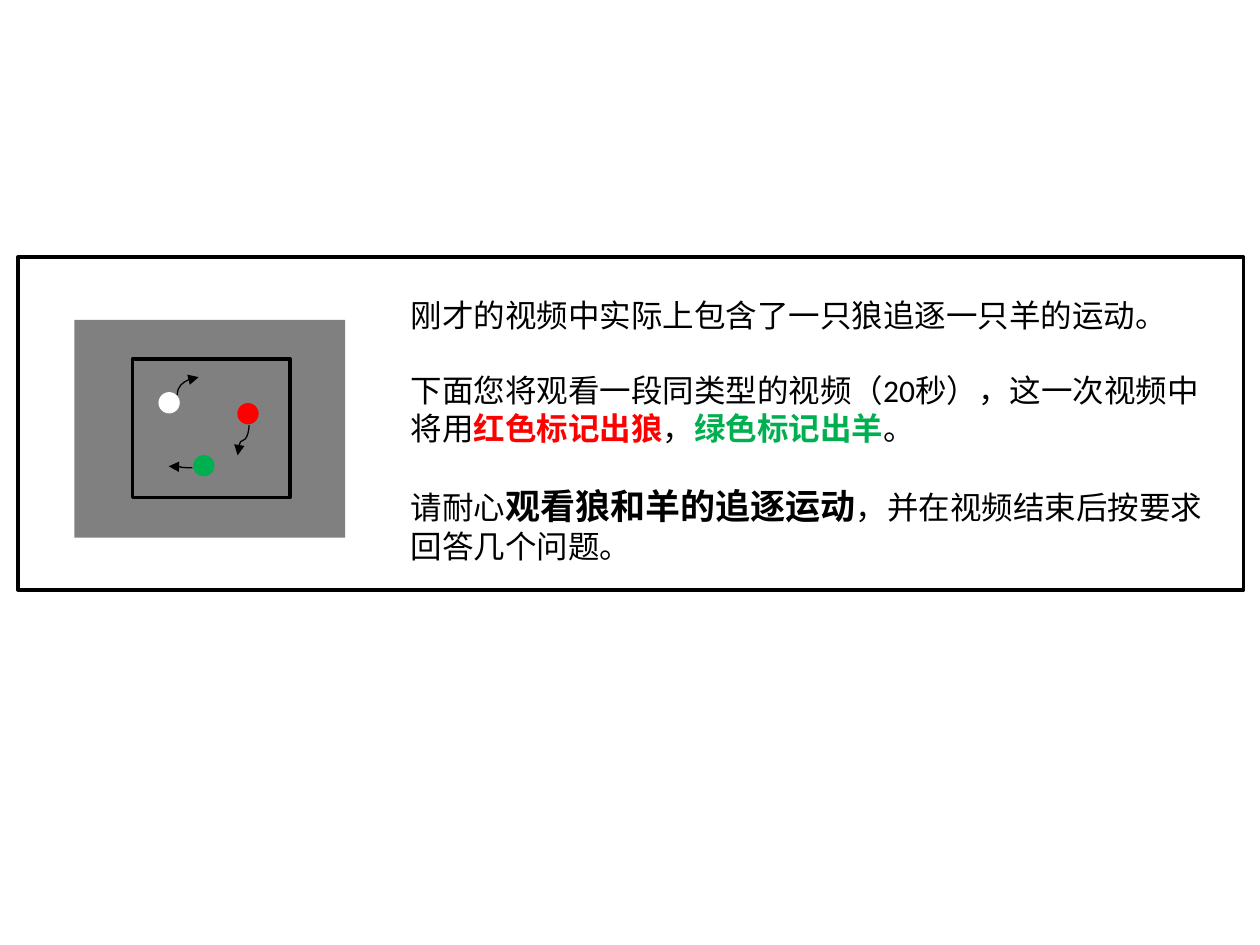
from dataclasses import dataclass
from typing import Optional

from lxml.etree import SubElement
from pptx import Presentation
from pptx.dml.color import RGBColor
from pptx.enum.shapes import MSO_CONNECTOR, MSO_SHAPE
from pptx.enum.text import MSO_AUTO_SIZE
from pptx.oxml.ns import qn
from pptx.util import Cm, Pt


@dataclass(frozen=True)
class Theme:
    font: str = "Calibri"
    black: str = "000000"
    white: str = "FFFFFF"
    gray: str = "808080"
    red: str = "FF0000"
    green: str = "00B050"
    body: float = 18
    emphasis: float = 20
    paragraph_gap: float = 21.6
    border: float = 2
    arrow: float = 0.75


THEME = Theme()


@dataclass(frozen=True)
class Panel:
    left: float
    top: float
    width: float
    height: float
    kind: MSO_SHAPE = MSO_SHAPE.RECTANGLE
    fill: Optional[str] = None
    line: Optional[str] = None


@dataclass(frozen=True)
class Dot:
    center_x: float
    center_y: float
    color: str


@dataclass(frozen=True)
class Arrow:
    """Curve inside an unrotated box, then turned by whole degrees."""
    left: float
    top: float
    width: float
    height: float
    rotation: int
    flipped: bool = False
    preset: str = "curvedConnector3"


@dataclass(frozen=True)
class Span:
    text: str
    color: str = THEME.black
    size: float = THEME.body
    bold: bool = False


DOT_SIZE = 0.43
BACKDROP = Panel(1.5, 6.45, 5.46, 4.39, fill=THEME.gray)
ARENA = Panel(2.67, 7.24, 3.18, 2.79, line=THEME.black)
FRAME = Panel(0.36, 5.18, 24.71, 6.71, MSO_SHAPE.ROUNDED_RECTANGLE, line=THEME.black)
DOTS = [
    Dot(3.41, 8.12, THEME.white),
    Dot(4.11, 9.39, THEME.green),
    Dot(5.0, 8.34, THEME.red),
]
ARROWS = [
    Arrow(4.6, 8.76, 0.61, 0.23, 90),
    Arrow(3.4, 9.4, 0.48, 0.03, 180),
    Arrow(3.61, 7.57, 0.36, 0.43, 90, True, "curvedConnector2"),
]
INSTRUCTIONS = [
    [Span("刚才的视频中实际上包含了一只狼追逐一只羊的运动。")],
    [
        Span("下面您将观看一段同类型的视频（20秒），这一次视频中将用"),
        Span("红色标记出狼", THEME.red, bold=True),
        Span("，"),
        Span("绿色标记出羊", THEME.green, bold=True),
        Span("。"),
    ],
    [
        Span("请耐心"),
        Span("观看狼和羊的追逐运动", size=THEME.emphasis, bold=True),
        Span("，并在视频结束后按要求回答几个问题。"),
    ],
]


def rgb(color: str) -> RGBColor:
    return RGBColor.from_string(color)


def draw_panel(page, panel: Panel):
    shape = page.shapes.add_shape(
        panel.kind, Cm(panel.left), Cm(panel.top), Cm(panel.width), Cm(panel.height))
    shape.shadow.inherit = False
    if panel.fill:
        shape.fill.solid()
        shape.fill.fore_color.rgb = rgb(panel.fill)
    else:
        shape.fill.background()
    if panel.line:
        shape.line.color.rgb = rgb(panel.line)
        shape.line.width = Pt(THEME.border)
    else:
        shape.line.fill.background()
    return shape


def draw_dot(page, dot: Dot) -> None:
    draw_panel(page, Panel(dot.center_x - DOT_SIZE / 2, dot.center_y - DOT_SIZE / 2,
                           DOT_SIZE, DOT_SIZE, MSO_SHAPE.OVAL, fill=dot.color))


def draw_arrow(page, arrow: Arrow) -> None:
    start = (Cm(arrow.left), Cm(arrow.top))
    end = (Cm(arrow.left + arrow.width), Cm(arrow.top + arrow.height))
    if arrow.flipped:
        start, end = end, start
    connector = page.shapes.add_connector(MSO_CONNECTOR.CURVE, *start, *end)
    connector.line.color.rgb = rgb(THEME.black)
    connector.line.width = Pt(THEME.arrow)
    # Rotation, curve preset, arrowhead and no shadow
    properties = connector.element.spPr
    properties.find(qn("a:xfrm")).set("rot", str(arrow.rotation * 60000))
    properties.find(qn("a:prstGeom")).set("prst", arrow.preset)
    SubElement(properties.find(qn("a:ln")), qn("a:tailEnd"), type="triangle")
    SubElement(properties, qn("a:effectLst"))


def write_instructions(page) -> None:
    box = page.shapes.add_textbox(Cm(8.03), Cm(5.84), Cm(16.66), Cm(5.74))
    frame = box.text_frame
    frame.word_wrap = True
    frame.auto_size = MSO_AUTO_SIZE.SHAPE_TO_FIT_TEXT
    for index, spans in enumerate(INSTRUCTIONS):
        para = frame.add_paragraph() if index else frame.paragraphs[0]
        if index:
            para.space_before = Pt(THEME.paragraph_gap)
        for span in spans:
            run = para.add_run()
            run.text = span.text
            run.font.name = THEME.font
            run.font.size = Pt(span.size)
            run.font.bold = span.bold
            run.font.color.rgb = rgb(span.color)


def main() -> None:
    deck = Presentation()
    deck.slide_width, deck.slide_height = Cm(25.4), Cm(19.05)
    page = deck.slides.add_slide(deck.slide_layouts[6])

    # Video scene
    draw_panel(page, BACKDROP)
    draw_panel(page, ARENA)
    for dot in DOTS:
        draw_dot(page, dot)
    for arrow in ARROWS:
        draw_arrow(page, arrow)

    # Instructions and outer frame
    write_instructions(page)
    draw_panel(page, FRAME).adjustments[0] = 0

    deck.save("out.pptx")


main()
